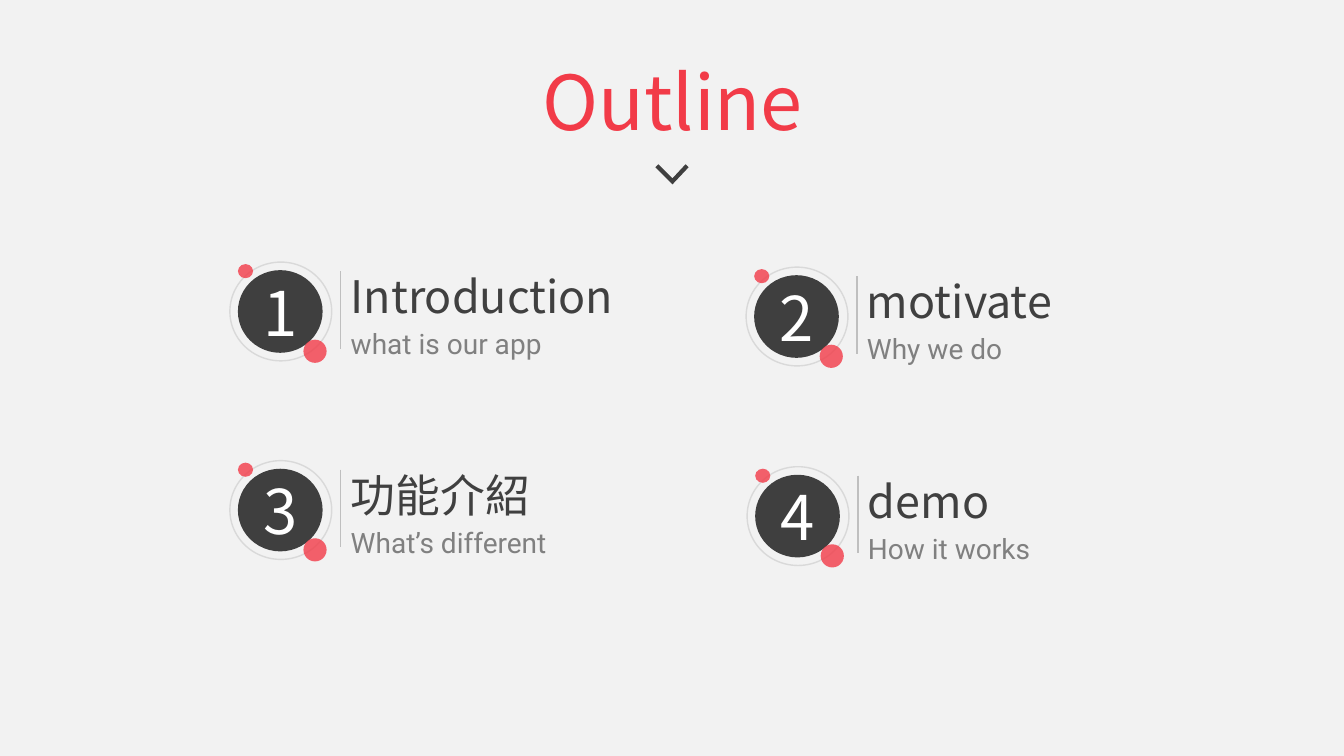
from dataclasses import dataclass
from lxml.etree import SubElement
from pptx import Presentation
from pptx.dml.color import RGBColor
from pptx.enum.shapes import MSO_CONNECTOR, MSO_SHAPE
from pptx.enum.text import MSO_ANCHOR, MSO_AUTO_SIZE, PP_ALIGN
from pptx.oxml.ns import qn
from pptx.util import Emu, Inches, Pt


@dataclass(frozen=True)
class Theme:
    back: str = "F2F2F2"
    red: str = "F23B48"
    dark: str = "3F3F3F"
    ink: str = "404040"
    gray: str = "808080"
    rule: str = "BFBFBF"
    ring: str = "D9D9D9"
    white: str = "FFFFFF"
    head: str = "Noto Sans CJK SC"
    body: str = "Roboto"
    title: int = 54
    digit: int = 44
    name: int = 32
    note: int = 20
    thin: int = 1
    alpha: int = 80


class Deck:
    """Draws on a grid whose columns and rows are one inch apart."""
    cols, rows = 13.33, 7.5

    def __init__(self, theme):
        self.theme = theme
        self.file = Presentation()
        self.file.slide_width = Inches(self.cols)
        self.file.slide_height = Inches(self.rows)
        self.slide = self.file.slides.add_slide(self.file.slide_layouts[6])
        fill = self.slide.background.fill
        fill.solid()
        fill.fore_color.rgb = RGBColor.from_string(theme.back)
        self.home = self.slide.shapes
        self.x = self.y = 0

    def begin(self, x, y):
        """Start a group; later places count from its corner."""
        self.home = self.slide.shapes.add_group_shape().shapes
        self.x, self.y = x, y

    def finish(self):
        self.home, self.x, self.y = self.slide.shapes, 0, 0

    def spot(self, x, y):
        return Inches(self.x + x), Inches(self.y + y)

    def paint(self, shape, fill=None, line=None, alpha=100):
        shape.shadow.inherit = False
        if fill:
            shape.fill.solid()
            shape.fill.fore_color.rgb = RGBColor.from_string(fill)
            if alpha < 100:
                tint = shape._element.spPr.find(".//" + qn("a:srgbClr"))
                SubElement(tint, qn("a:alpha"), val=str(alpha * 1000))
        else:
            shape.fill.background()
        if line:
            shape.line.color.rgb = RGBColor.from_string(line)
            shape.line.width = Pt(self.theme.thin)
        else:
            shape.line.fill.background()

    def oval(self, x, y, w, h, **look):
        shape = self.home.add_shape(
            MSO_SHAPE.OVAL, *self.spot(x, y), Inches(w), Inches(h))
        self.paint(shape, **look)
        return shape

    def label(self, shape, text, size, color, font, align):
        para = shape.text_frame.paragraphs[0]
        para.alignment = align
        run = para.add_run()
        run.text = text
        run.font.size = Pt(size)
        run.font.name = font
        run.font.color.rgb = RGBColor.from_string(color)
        SubElement(run._r.rPr, qn("a:ea"), typeface=font)

    def text(self, x, y, w, h, *style):
        box = self.home.add_textbox(*self.spot(x, y), Inches(w), Inches(h))
        box.text_frame.word_wrap = True
        box.text_frame.auto_size = MSO_AUTO_SIZE.SHAPE_TO_FIT_TEXT
        self.label(box, *style)

    def line(self, x, top, low):
        rule = self.home.add_connector(
            MSO_CONNECTOR.STRAIGHT, *self.spot(x, top), *self.spot(x, low))
        rule.line.color.rgb = RGBColor.from_string(self.theme.rule)
        rule.line.width = Pt(self.theme.thin)
        SubElement(rule._element.spPr, qn("a:effectLst"))

    def outline(self, points, fill):
        first, *rest = [self.spot(*point) for point in points]
        pen = self.home.build_freeform(*first, scale=1.0)
        pen.add_line_segments(rest, close=True)
        self.paint(pen.convert_to_shape(Emu(0), Emu(0)), fill)

    def badge(self, digit):
        look = self.theme
        disc = self.oval(0.08, 0.08, 0.84, 0.82, fill=look.dark)
        frame = disc.text_frame
        frame.word_wrap = False
        frame.vertical_anchor = MSO_ANCHOR.MIDDLE
        self.label(disc, digit, look.digit, look.white, look.head,
                   PP_ALIGN.CENTER)
        self.oval(0, 0, 1.01, 0.98, line=look.ring)
        for dot in ((0.73, 0.77, 0.23, 0.23), (0.08, 0.02, 0.15, 0.14)):
            self.oval(*dot, fill=look.red, alpha=look.alpha)

    def item(self, x, y, digit, name, note):
        look = self.theme
        self.begin(x, y)
        self.badge(digit)
        self.text(1.1, 0.02, 3.09, 0.78, name, look.name, look.ink,
                  look.head, PP_ALIGN.JUSTIFY)
        self.text(1.1, 0.59, 3.09, 0.53, note, look.note, look.gray,
                  look.body, PP_ALIGN.LEFT)
        self.line(1.1, 0.09, 0.86)
        self.finish()


ITEMS = (
    (2.28, 2.6, "Introduction", "what is our app"),
    (7.4, 2.65, "motivate", "Why we do"),
    (2.28, 4.57, "功能介紹", "What’s different"),
    (7.41, 4.63, "demo", "How it works"),
)
CHEVRON = ((6.8, 1.63), (6.83, 1.66), (6.67, 1.83),
           (6.5, 1.66), (6.53, 1.63), (6.67, 1.77))


def main():
    look = Theme()
    deck = Deck(look)
    for count, (x, y, name, note) in enumerate(ITEMS, 1):
        deck.item(x, y, str(count), name, note)
    deck.text(5.24, 0.5, 2.86, 1.01, "Outline", look.title, look.red,
              look.head, PP_ALIGN.CENTER)
    deck.outline(CHEVRON, look.dark)
    deck.file.save("out.pptx")


if __name__ == "__main__":
    main()
